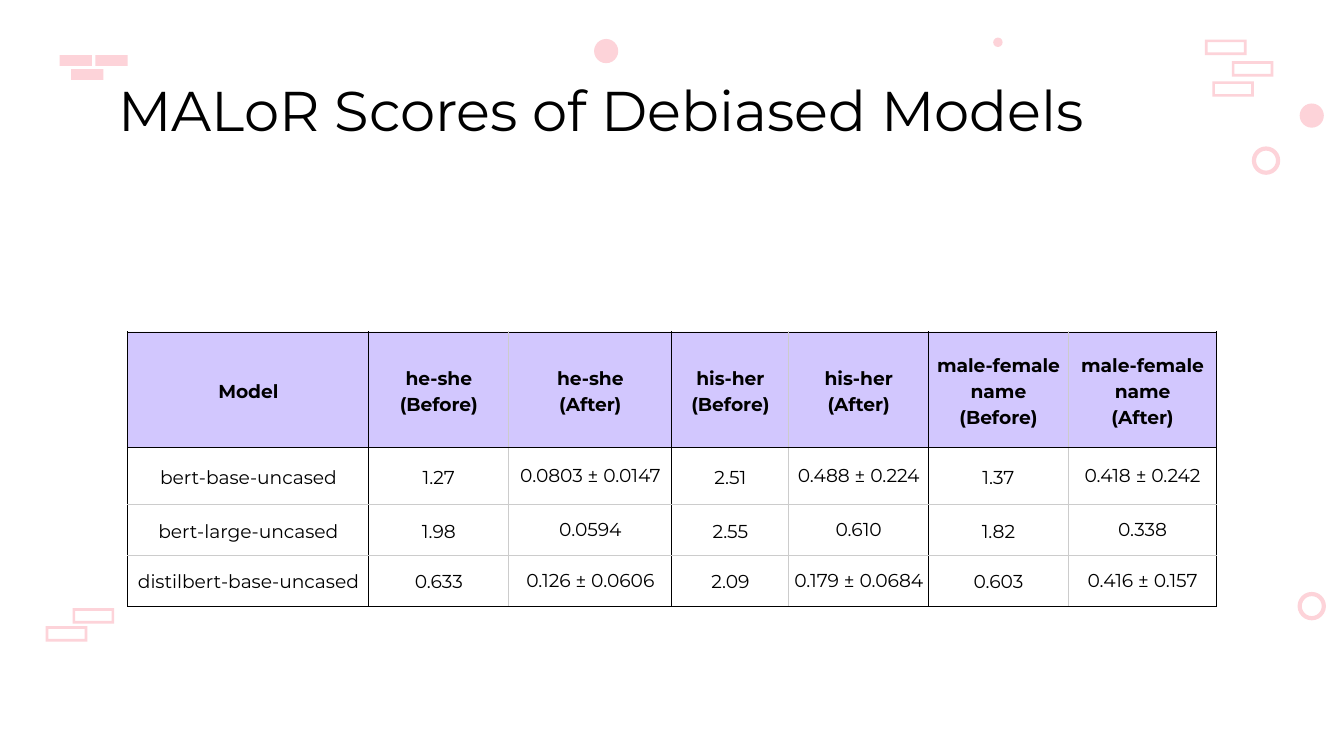
from dataclasses import dataclass

from lxml.etree import SubElement
from pptx import Presentation
from pptx.dml.color import RGBColor
from pptx.enum.shapes import MSO_SHAPE
from pptx.enum.text import MSO_ANCHOR, MSO_AUTO_SIZE, PP_ALIGN
from pptx.oxml.ns import qn
from pptx.util import Emu, Pt

# Content
TITLE = "MALoR Scores of Debiased Models"
HEADER = ["Model", "he-she\n(Before)", "he-she\n(After)", "his-her\n(Before)",
          "his-her\n(After)", "male-female name\n(Before)", "male-female name\n(After)"]
SCORES = [
    ["bert-base-uncased", "1.27", "0.0803 ± 0.0147", "2.51", "0.488 ± 0.224", "1.37", "0.418 ± 0.242"],
    ["bert-large-uncased", "1.98", "0.0594", "2.55", "0.610", "1.82", "0.338"],
    ["distilbert-base-uncased", "0.633", "0.126 ± 0.0606", "2.09", "0.179 ± 0.0684", "0.603", "0.416 ± 0.157"],
]

# Layout in px, 200 px to the inch
PX = 4572
SLIDE_SIZE = (2000, 1125)
TITLE_BOX = (156, 117, 1576, 90)
TITLE_MARGIN = 20
TABLE_ORIGIN = (190, 494)
COLUMN_WIDTHS = [359, 208, 243, 174, 208, 208, 221]
ROW_HEIGHTS = [172, 85, 75, 76]
CELL_MARGINS = (6, 6, 4, 4)
BAR_SIZE, BARS = (48, 16), [(106, 103), (89, 82), (142, 82)]
FRAME_SIZE, FRAME_EDGE = (62, 23), 4
FRAMES = [(1833, 91), (1793, 59), (1804, 121), (108, 905), (68, 932)]
DOTS = [(1478, 56, 14), (1934, 154, 36), (884, 58, 36)]
RINGS = [(1934, 884, 36), (1866, 221, 36)]


@dataclass(frozen=True)
class Theme:
    font: str = "Montserrat"
    text: str = "000000"
    background: str = "FFFFFF"
    accent: str = "FDD3D9"
    header: str = "A48EFD"
    header_opacity: int = 49
    strong_border: str = "000000"
    light_border: str = "CCCCCC"
    title_size: float = 30
    table_size: float = 10
    border_width: float = 0.6
    ring_width: float = 2.25


THEME = Theme()


def px(*lengths):
    return [Emu(length * PX) for length in lengths]


def color(value):
    return RGBColor.from_string(value)


def write_text(frame, text, size, bold=False, align=PP_ALIGN.LEFT, spacing=None):
    frame.word_wrap = True
    for index, line in enumerate(text.split("\n")):
        paragraph = frame.paragraphs[0] if index == 0 else frame.add_paragraph()
        paragraph.alignment = align
        paragraph.line_spacing = spacing
        run = paragraph.add_run()
        run.text = line
        run.font.name = THEME.font
        run.font.size = Pt(size)
        run.font.bold = bold
        run.font.color.rgb = color(THEME.text)


def paint(shape, filled=True):
    shape.shadow.inherit = False
    if filled:
        shape.fill.solid()
        shape.fill.fore_color.rgb = color(THEME.accent)
        shape.line.fill.background()
    else:
        shape.fill.background()
        shape.line.color.rgb = color(THEME.accent)
        shape.line.width = Pt(THEME.ring_width)


def rectangle_corners(left, top, width, height):
    right, bottom = left + width, top + height
    return [(left, top), (right, top), (right, bottom), (left, bottom)]


def add_frame(slide, left, top):
    width, height = FRAME_SIZE
    edge = FRAME_EDGE
    outer = rectangle_corners(left, top, width, height)
    inner = rectangle_corners(left + edge, top + edge, width - 2 * edge, height - 2 * edge)
    inner.reverse()
    builder = slide.shapes.build_freeform(*outer[0], scale=PX)
    builder.add_line_segments(outer[1:], close=True)
    builder.move_to(*inner[0])
    builder.add_line_segments(inner[1:], close=True)
    paint(builder.convert_to_shape())


def add_decorations(slide):
    for left, top in BARS:
        paint(slide.shapes.add_shape(MSO_SHAPE.RECTANGLE, *px(left, top, *BAR_SIZE)))
    for left, top in FRAMES:
        add_frame(slide, left, top)
    for circles, filled in ((DOTS, True), (RINGS, False)):
        for left, top, size in circles:
            paint(slide.shapes.add_shape(MSO_SHAPE.OVAL, *px(left, top, size, size)), filled)


def set_borders(cell, row, column):
    # Each Before/After pair is boxed; the header and the table edge are strong
    strong_rows = (0, 1, len(ROW_HEIGHTS))
    strong = {
        "lnL": column == 0 or column % 2 == 1,
        "lnR": column % 2 == 0,
        "lnT": row in strong_rows,
        "lnB": row + 1 in strong_rows,
    }
    properties = cell._tc.get_or_add_tcPr()
    for tag, is_strong in strong.items():
        line = SubElement(properties, qn(f"a:{tag}"), w=str(Pt(THEME.border_width)))
        fill = SubElement(line, qn("a:solidFill"))
        SubElement(fill, qn("a:srgbClr"), val=THEME.strong_border if is_strong else THEME.light_border)


def fill_cell(cell, is_header):
    if not is_header:
        cell.fill.background()
        return
    cell.fill.solid()
    cell.fill.fore_color.rgb = color(THEME.header)
    fill_color = cell._tc.tcPr.find(f"{qn('a:solidFill')}/{qn('a:srgbClr')}")
    SubElement(fill_color, qn("a:alpha"), val=str(THEME.header_opacity * 1000))


def add_score_table(slide):
    rows = [HEADER, *SCORES]
    size = (sum(COLUMN_WIDTHS), sum(ROW_HEIGHTS))
    table = slide.shapes.add_table(len(rows), len(HEADER), *px(*TABLE_ORIGIN, *size)).table
    table.first_row = table.horz_banding = False
    for column, width in zip(table.columns, px(*COLUMN_WIDTHS)):
        column.width = width
    for row, height in zip(table.rows, px(*ROW_HEIGHTS)):
        row.height = height
    for r, texts in enumerate(rows):
        for c, text in enumerate(texts):
            cell = table.cell(r, c)
            is_header = r == 0
            is_after_score = not is_header and c > 0 and c % 2 == 0
            cell.margin_left, cell.margin_right, cell.margin_top, cell.margin_bottom = px(*CELL_MARGINS)
            cell.vertical_anchor = MSO_ANCHOR.MIDDLE
            set_borders(cell, r, c)
            fill_cell(cell, is_header)
            write_text(cell.text_frame, text, THEME.table_size, bold=is_header,
                       align=PP_ALIGN.CENTER, spacing=None if is_after_score else 1.15)


def add_title(slide):
    title = slide.shapes.title
    title.left, title.top, title.width, title.height = px(*TITLE_BOX)
    frame = title.text_frame
    frame.auto_size = MSO_AUTO_SIZE.NONE
    frame.vertical_anchor = MSO_ANCHOR.MIDDLE
    frame.margin_left, frame.margin_right, frame.margin_top, frame.margin_bottom = px(*[TITLE_MARGIN] * 4)
    write_text(frame, TITLE, THEME.title_size)


def main():
    presentation = Presentation()
    presentation.slide_width, presentation.slide_height = px(*SLIDE_SIZE)
    slide = presentation.slides.add_slide(presentation.slide_layouts[5])
    slide.background.fill.solid()
    slide.background.fill.fore_color.rgb = color(THEME.background)
    add_decorations(slide)
    add_title(slide)
    add_score_table(slide)
    presentation.save("out.pptx")


if __name__ == "__main__":
    main()
